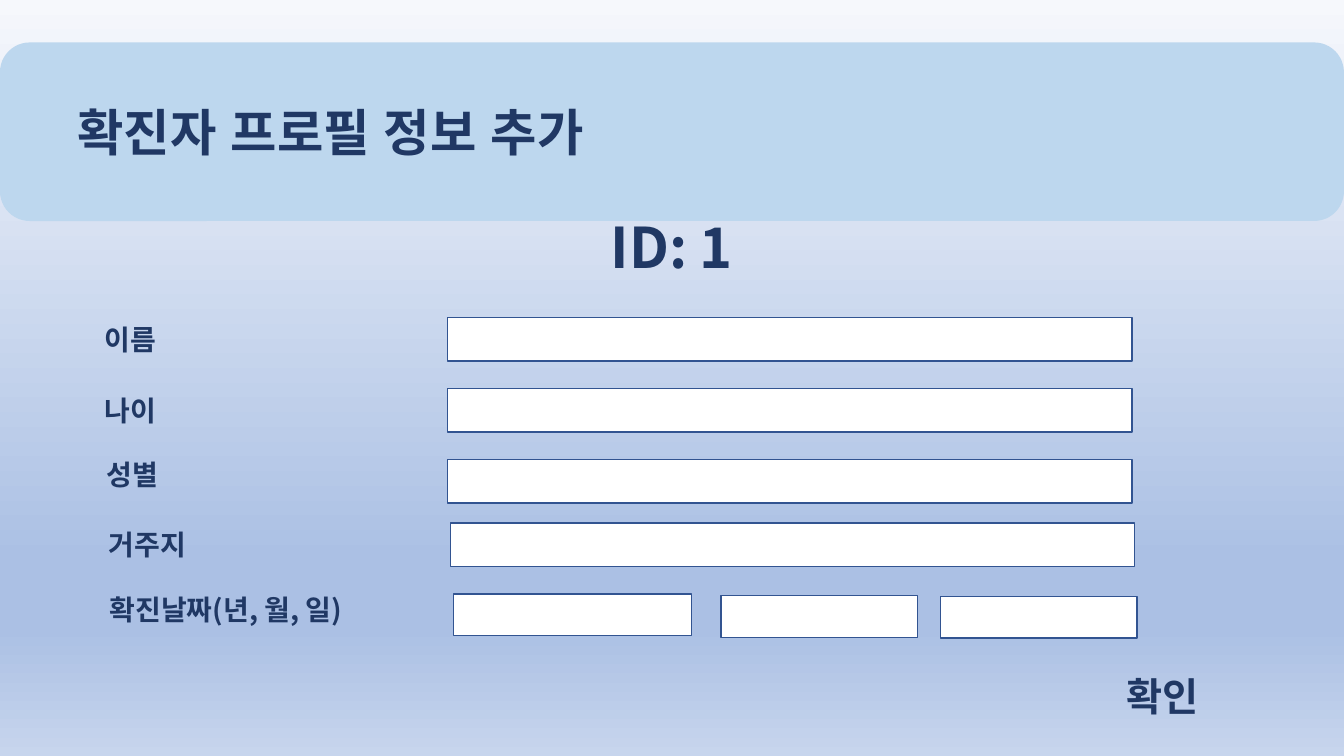
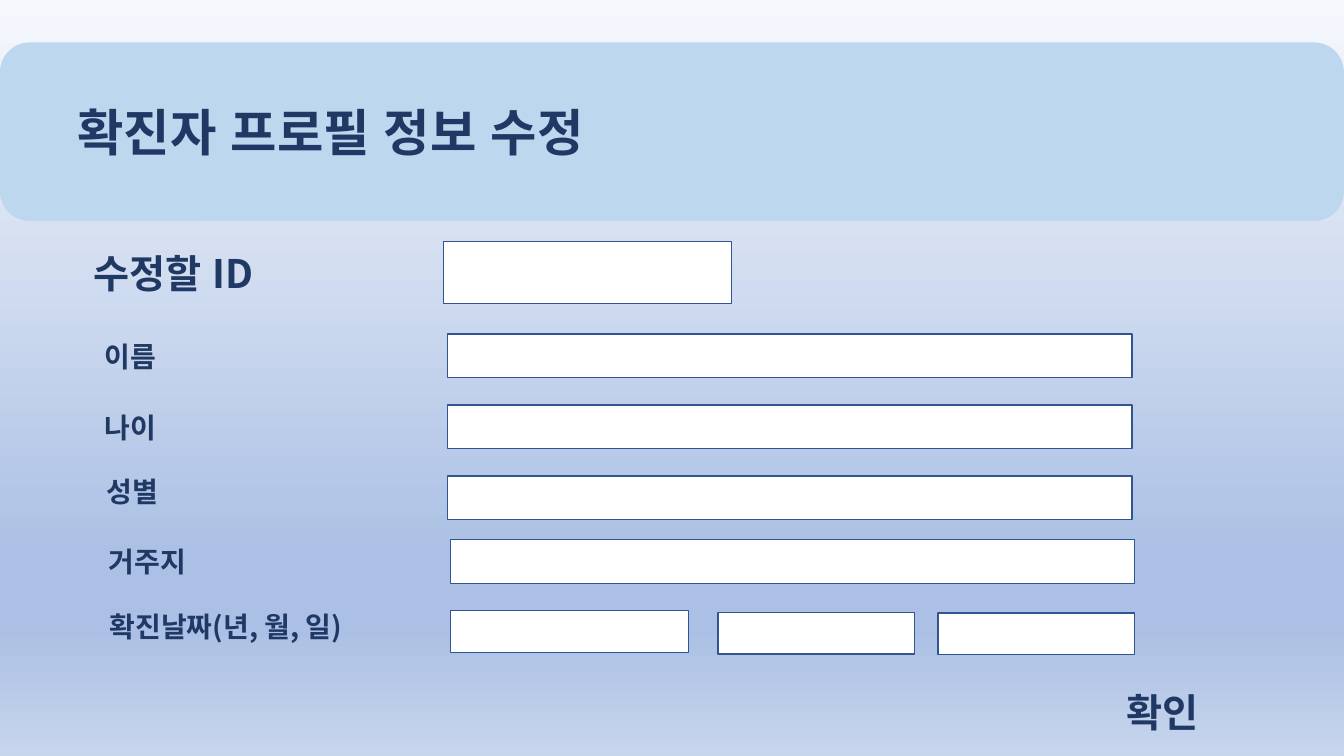
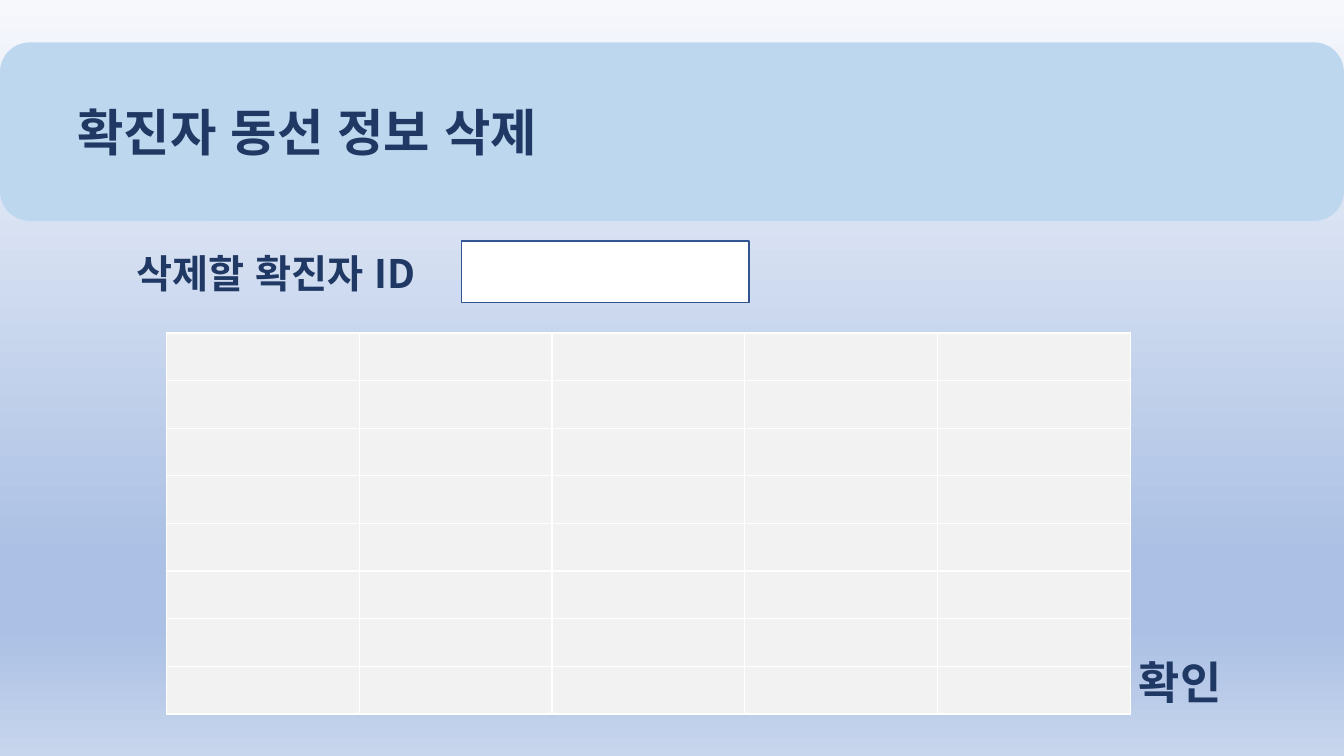
from copy import deepcopy

from lxml import etree
from pptx import Presentation
from pptx.dml.color import RGBColor
from pptx.enum.lang import MSO_LANGUAGE_ID
from pptx.enum.shapes import MSO_SHAPE
from pptx.enum.text import MSO_ANCHOR, MSO_AUTO_SIZE, PP_ALIGN
from pptx.oxml.ns import qn
from pptx.util import Cm, Pt

RECT, ROUND = MSO_SHAPE.RECTANGLE, MSO_SHAPE.ROUNDED_RECTANGLE
TOP, MIDDLE = MSO_ANCHOR.TOP, MSO_ANCHOR.MIDDLE
GROW, LEFT = MSO_AUTO_SIZE.SHAPE_TO_FIT_TEXT, PP_ALIGN.LEFT
KOREAN = MSO_LANGUAGE_ID.KOREAN

FACE = "Noto Sans CJK KR"
HUES = {"ink": "203864", "band": "BDD7EE", "field": "FFFFFF",
        "edge": "325491", "cell": "F2F2F2"}
STOPS = [(0, "F6F8FC"), (0.74, "ABC0E4"), (0.83, "ABC0E4"), (1, "C7D5ED")]
FONT = {"name": FACE, "bold": True, "language_id": KOREAN}

# label, its left edge, its offset from the top of the form
LABELS = [("이름", 2.39, 0), ("나이", 2.39, 1.79), ("성별", 2.44, 3.4),
          ("거주지", 2.49, 5.18), ("확진날짜(년, 월, 일)", 2.51, 6.81)]
# left edge and offset of the wide fields
FIELDS = [(11.28, 0), (11.28, 1.79), (11.28, 3.58), (11.35, 5.18)]
# year, month and day: shift from the first, offset, width
DATES = [(0, 6.97, 6), (6.74, 7.01, 4.95), (12.28, 7.03, 4.95)]


def hue(name):
    return RGBColor.from_string(HUES[name])


def assign(item, values):
    for key, value in values.items():
        setattr(item, key, value)


class Deck:
    def __init__(self):
        self.prs = Presentation()
        assign(self.prs, {"slide_width": Cm(33.87), "slide_height": Cm(19.05)})
        self.slide = None
        self.backdrop()

    def backdrop(self):
        master = self.prs.slide_master
        fill = master.background.fill
        fill.gradient()
        fill.gradient_angle = 270
        stops = master.element.xpath(".//p:bgPr//a:gsLst")[0]
        while len(stops) < len(STOPS):
            stops.append(deepcopy(stops[0]))
        for stop, (place, code) in zip(fill.gradient_stops, STOPS):
            stop.position = place
            stop.color.rgb = RGBColor.from_string(code)

    def page(self, title):
        self.slide = self.prs.slides.add_slide(self.prs.slide_layouts[5])
        self.shape(ROUND, 0, 1.07, 33.87, 4.5, "band")
        head = self.slide.shapes.title
        self.slide.shapes._spTree.append(head._element)
        assign(head, {"left": Cm(1.7), "top": Cm(2.41),
                      "width": Cm(22.28), "height": Cm(1.8)})
        head.fill.solid()
        head.fill.fore_color.rgb = hue("band")
        self.letter(head.text_frame, title, 36, MIDDLE)

    def letter(self, frame, text, size, anchor=TOP):
        """Put styled text into a frame."""
        frame.text = text
        assign(frame, {"word_wrap": True, "auto_size": GROW,
                       "vertical_anchor": anchor})
        para = frame.paragraphs[0]
        para.alignment = LEFT
        font = para.runs[0].font
        assign(font, {**FONT, "size": Pt(size)})
        font.color.rgb = hue("ink")
        etree.SubElement(font._element, qn("a:ea"), typeface=FACE)

    def text(self, text, x, y, w, h, size):
        box = self.slide.shapes.add_textbox(Cm(x), Cm(y), Cm(w), Cm(h))
        self.letter(box.text_frame, text, size)

    def shape(self, kind, x, y, w, h, fill, edge=None):
        item = self.slide.shapes.add_shape(kind, Cm(x), Cm(y), Cm(w), Cm(h))
        item.shadow.inherit = False
        item.fill.solid()
        item.fill.fore_color.rgb = hue(fill)
        if edge:
            item.line.color.rgb = hue(edge)
            item.line.width = Pt(1)
        else:
            item.line.fill.background()

    def field(self, x, y, w, h):
        self.shape(RECT, x, y, w, h, "field", "edge")

    def form(self, top, left):
        """Draw the profile form; left is where the date fields begin."""
        for label, x, drop in LABELS:
            self.text(label, x, top + drop, 8.36, 1.22, 20)
        for x, drop in FIELDS:
            self.field(x, top + drop, 17.25, 1.1)
        for shift, drop, width in DATES:
            self.field(left + shift, top + drop, width, 1.05)
        self.text("확인", 28.14, top + 8.81, 5.28, 1.6, 28)

    def query(self, label, x, y, left):
        """Ask for an ID: a label and a field."""
        self.text(label, x, y, 10.03, 1.45, 28)
        self.field(left, y - 0.08, 7.25, 1.56)

    def grid(self, x, y, rows, cols, wide, high):
        table = self.slide.shapes.add_table(
            rows, cols, Cm(x), Cm(y), Cm(cols * wide), Cm(rows * high)).table
        for cell in table.iter_cells():
            cell.fill.solid()
            cell.fill.fore_color.rgb = hue("cell")


def main():
    deck = Deck()

    deck.page("확진자 프로필 정보 추가")
    deck.text("ID: 1", 15.14, 5.23, 5.64, 1.96, 40)
    deck.form(8, 11.43)

    deck.page("확진자 프로필 정보 수정")
    deck.query("수정할 ID", 2.11, 6.17, 11.18)
    deck.form(8.42, 11.36)

    deck.page("확진자 동선 정보 삭제")
    deck.text("확인", 28.45, 16.38, 4.9, 1.85, 32)
    deck.query("삭제할 확진자 ID", 3.2, 6.15, 11.63)
    deck.grid(4.19, 8.39, 8, 5, 4.86, 1.2)

    deck.prs.save("out.pptx")


if __name__ == "__main__":
    main()
